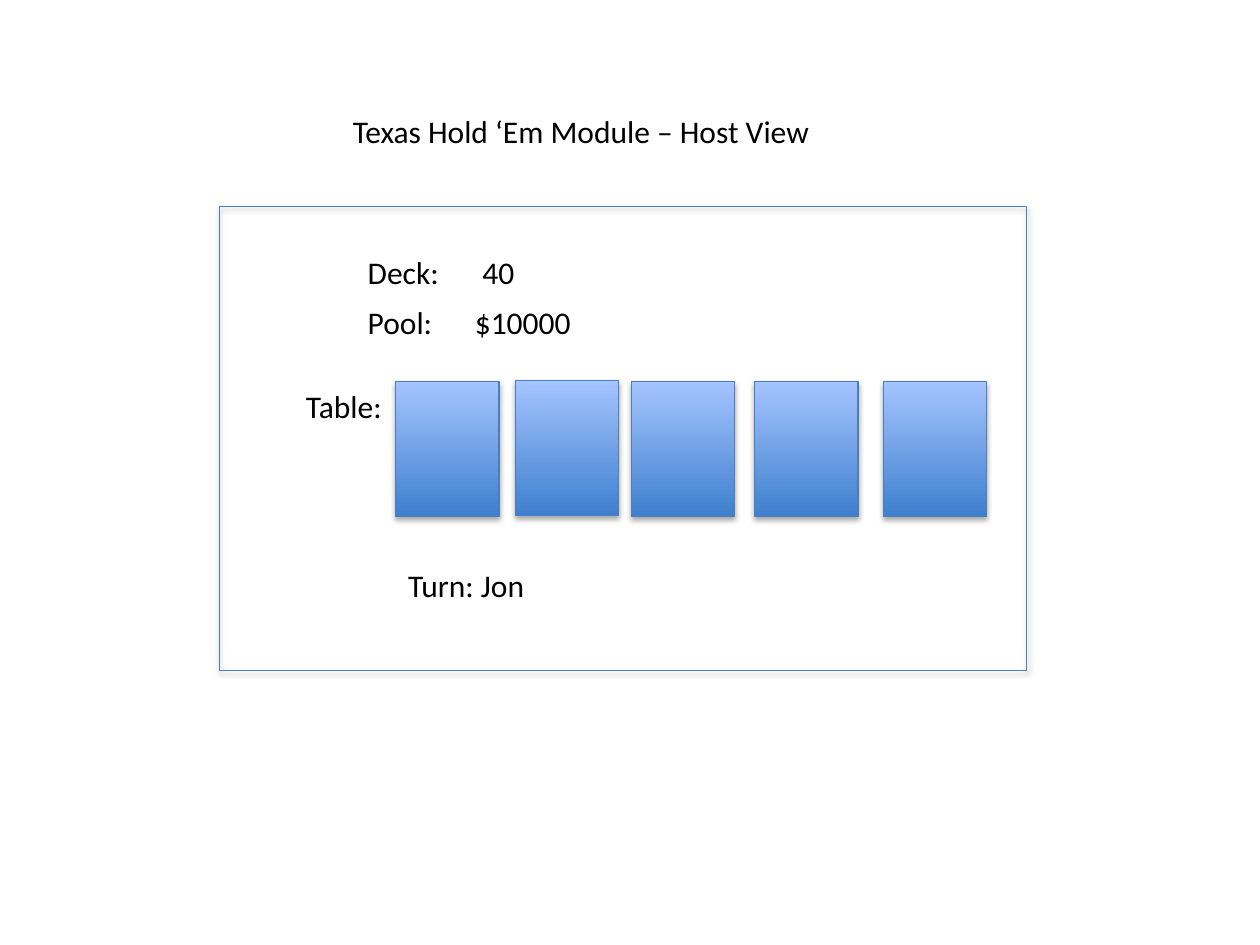
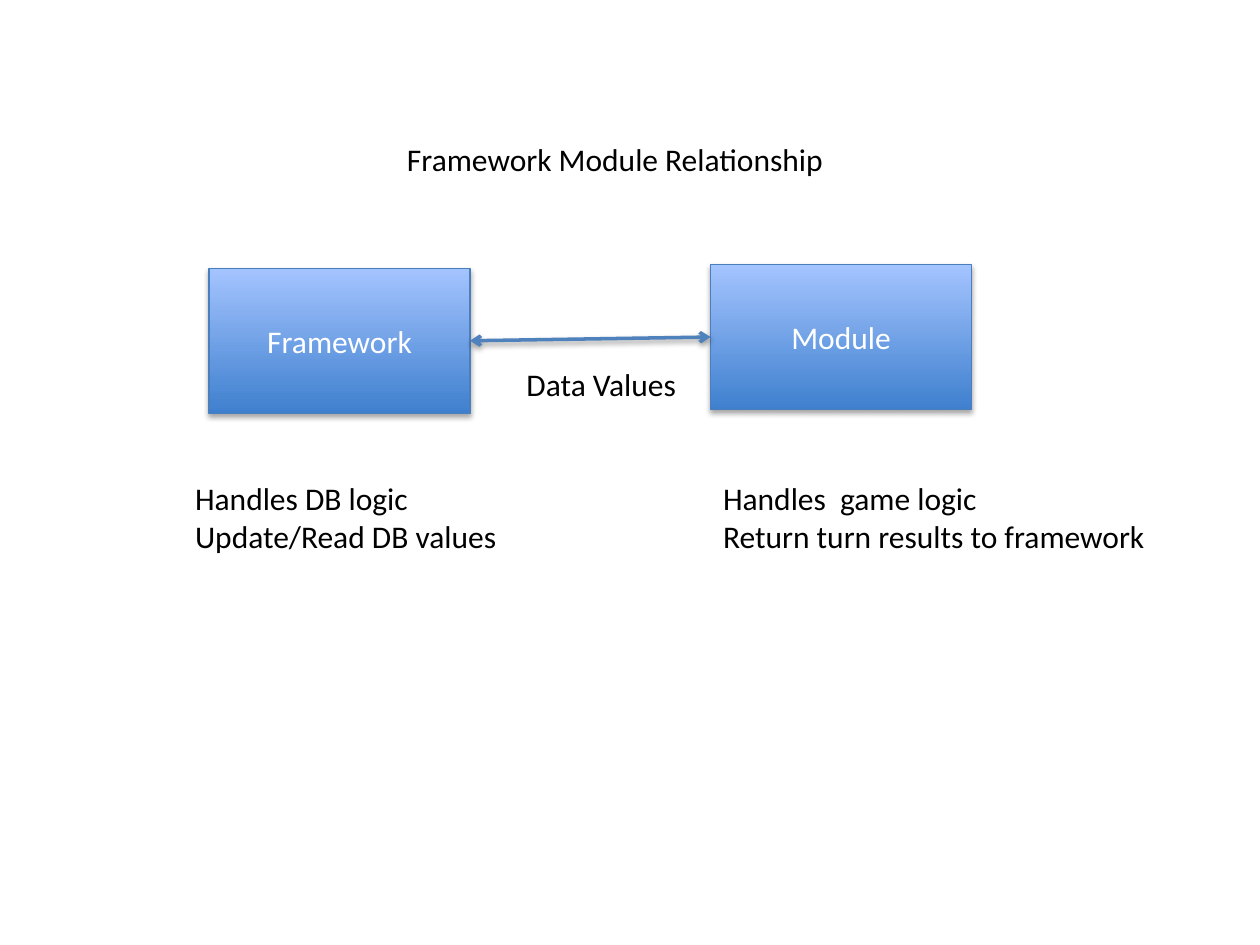
from dataclasses import dataclass

import lxml.etree
import pptx
import pptx.dml.color
import pptx.enum.shapes
import pptx.enum.text
import pptx.oxml.ns
import pptx.util

Inches = pptx.util.Inches
Pt = pptx.util.Pt
ALIGN = pptx.enum.text.PP_ALIGN
ANCHOR = pptx.enum.text.MSO_ANCHOR
qn = pptx.oxml.ns.qn


@dataclass(frozen=True)
class Theme:
    font: str = "Calibri"
    text_size: float = 18
    text: str = "000000"
    reversed_text: str = "FFFFFF"
    outline: str = "4B7EBC"
    outline_width: float = 0.75
    gradient: tuple = ("3F80CE", "A4C4FF")
    arrow: str = "4F81BD"
    arrow_width: float = 2
    shadow: str = "000000"
    shadow_blur: float = 3.15


@dataclass(frozen=True)
class Box:
    left: float
    top: float
    width: float
    height: float

    def inside(self, dx, dy, width, height):
        return Box(self.left + dx, self.top + dy, width, height)

    def lengths(self):
        return [Inches(v) for v in (self.left, self.top, self.width, self.height)]


THEME = Theme()
LINE_HEIGHT = 0.4


def rgb(value):
    return pptx.dml.color.RGBColor.from_string(value)


def write(frame, lines, color=THEME.text, align=ALIGN.LEFT):
    frame.text = "\n".join(lines)
    for paragraph in frame.paragraphs:
        paragraph.alignment = align
        paragraph.font.name = THEME.font
        paragraph.font.size = Pt(THEME.text_size)
        paragraph.font.color.rgb = rgb(color)


def fit_frame(frame, wrap):
    frame.word_wrap = wrap
    frame.auto_size = pptx.enum.text.MSO_AUTO_SIZE.SHAPE_TO_FIT_TEXT
    frame.vertical_anchor = ANCHOR.TOP


def add_title(slide, box, text):
    title = slide.shapes.title
    title.left, title.top, title.width, title.height = box.lengths()
    write(title.text_frame, [text])
    fit_frame(title.text_frame, False)


def add_label(slide, box, *lines, wrap=False):
    frame = slide.shapes.add_textbox(*box.lengths()).text_frame
    write(frame, lines)
    fit_frame(frame, wrap)
    return frame


def add_status(slide, box, name, value, tab):
    frame = add_label(slide, box, f"{name}\t{value}", wrap=True)
    properties = frame.paragraphs[0]._p.get_or_add_pPr()
    tabs = lxml.etree.SubElement(properties, qn("a:tabLst"))
    lxml.etree.SubElement(tabs, qn("a:tab"), pos=str(Inches(tab)), algn="l")


def cast_shadow(properties, distance, opacity):
    effects = properties.find(qn("a:effectLst"))
    if effects is None:
        effects = lxml.etree.SubElement(properties, qn("a:effectLst"))
    outer = lxml.etree.SubElement(
        effects, qn("a:outerShdw"), blurRad=str(Pt(THEME.shadow_blur)),
        dist=str(Pt(distance)), dir="5400000", rotWithShape="0")
    color = lxml.etree.SubElement(outer, qn("a:srgbClr"), val=THEME.shadow)
    lxml.etree.SubElement(color, qn("a:alpha"), val=str(opacity * 1000))


def add_panel(slide, box, filled=True):
    panel = slide.shapes.add_shape(
        pptx.enum.shapes.MSO_SHAPE.RECTANGLE, *box.lengths())
    if filled:
        panel.fill.gradient()
        panel.fill.gradient_angle = 90
        for position, (stop, color) in enumerate(
                zip(panel.fill.gradient_stops, THEME.gradient)):
            stop.position = position
            stop.color.rgb = rgb(color)
    else:
        panel.fill.background()
    panel.line.color.rgb = rgb(THEME.outline)
    panel.line.width = Pt(THEME.outline_width)
    panel.shadow.inherit = False
    cast_shadow(panel._element.spPr, 1.8, 35)
    return panel


def add_component(slide, box, name):
    component = add_panel(slide, box)
    write(component.text_frame, [name], THEME.reversed_text, ALIGN.CENTER)
    component.text_frame.vertical_anchor = ANCHOR.MIDDLE
    return component


def add_exchange(slide, source, target):
    arrow = slide.shapes.add_connector(
        pptx.enum.shapes.MSO_CONNECTOR.STRAIGHT, 0, 0, 0, 0)
    arrow.begin_connect(source, 3)
    arrow.end_connect(target, 1)
    arrow.line.color.rgb = rgb(THEME.arrow)
    arrow.line.width = Pt(THEME.arrow_width)
    for end in ("a:headEnd", "a:tailEnd"):
        lxml.etree.SubElement(arrow.line._ln, qn(end), type="arrow")
    cast_shadow(arrow._element.spPr, 1.6, 38)


def add_table_cards(slide, box):
    add_label(slide, box.inside(0, 0, 0.98, LINE_HEIGHT), "Table:", wrap=True)
    card_offsets = ((0.81, 0.01), (1.76, 0), (2.68, 0.01), (3.66, 0.01), (4.68, 0.01))
    for dx, dy in card_offsets:
        add_panel(slide, box.inside(dx, dy, 0.82, 1.07))


def add_host_view(slide, box):
    add_panel(slide, box, filled=False)
    statuses = (("Deck:", "40", 0.91), ("Pool:", "$10000", 0.85))
    for row, (name, value, tab) in enumerate(statuses):
        add_status(slide, box.inside(1.08, 0.32 + row * LINE_HEIGHT, 3.58, LINE_HEIGHT),
                   name, value, tab)
    add_table_cards(slide, box.inside(0.59, 1.38, 5.5, 1.08))
    add_label(slide, box.inside(1.4, 2.8, 1.14, LINE_HEIGHT), "Turn: Jon", wrap=True)


def add_relationship(slide, box):
    framework = add_component(slide, box.inside(0.21, 0.03, 2.07, 1.15), "Framework")
    module = add_component(slide, box.inside(4.19, 0, 2.07, 1.15), "Module")
    add_exchange(slide, framework, module)
    add_label(slide, box.inside(2.63, 0.75, 1.42, LINE_HEIGHT), "Data Values")
    add_label(slide, box.inside(0, 1.65, 2.63, 0.71),
              "Handles DB logic", "Update/Read DB values")
    add_label(slide, box.inside(4.19, 1.65, 3.6, 0.71),
              "Handles  game logic", "Return turn results to framework")


def main():
    deck = pptx.Presentation()
    deck.slide_width, deck.slide_height = Inches(10), Inches(7.5)
    pages = (
        ("Texas Hold ‘Em Module – Host View", Box(2.7, 0.84, 3.9, LINE_HEIGHT),
         add_host_view, Box(1.74, 1.64, 6.41, 3.68)),
        ("Framework Module Relationship", Box(3.13, 1.06, 3.55, LINE_HEIGHT),
         add_relationship, Box(1.45, 2.1, 7.79, 2.36)),
    )
    for title, title_box, add_body, body_box in pages:
        slide = deck.slides.add_slide(deck.slide_layouts.get_by_name("Title Only"))
        add_title(slide, title_box, title)
        add_body(slide, body_box)
    deck.save("out.pptx")


if __name__ == "__main__":
    main()
